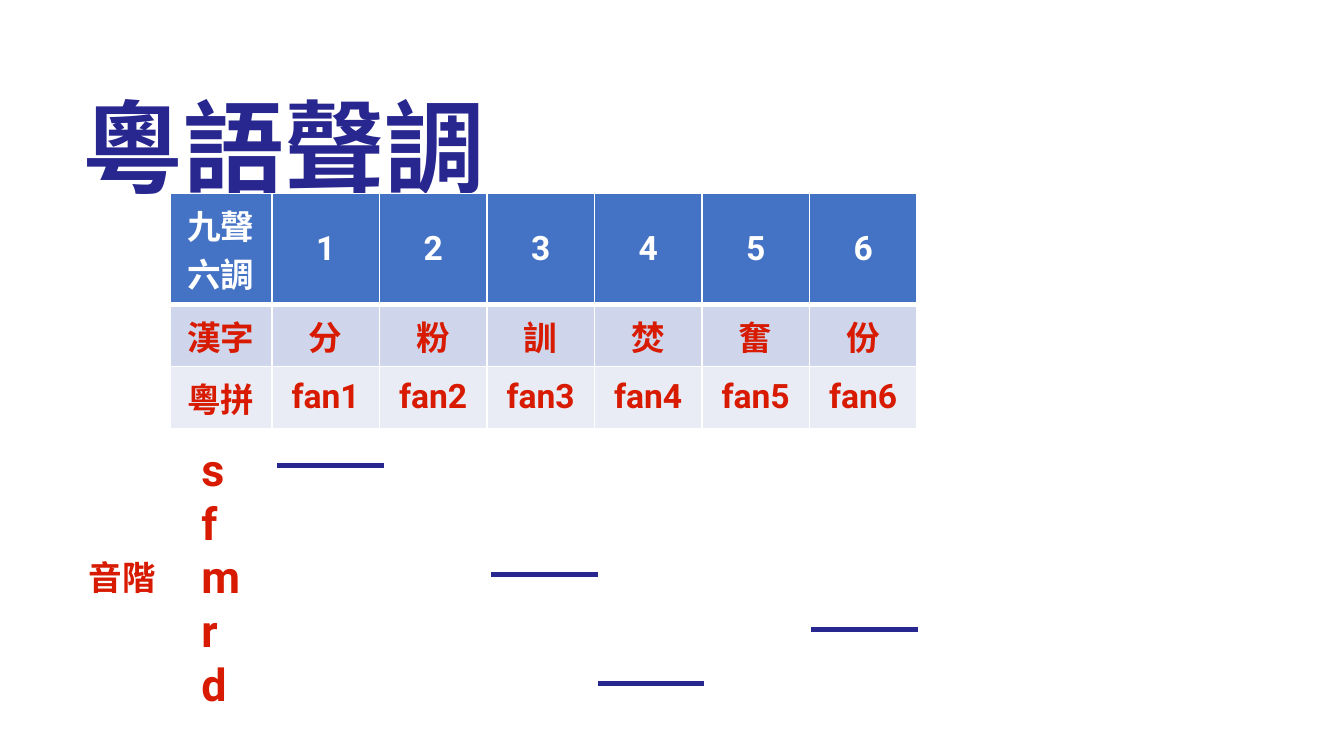
import pptx
import pptx.util
import pptx.dml.color
import pptx.enum.text
import pptx.oxml
import pptx.oxml.ns

Pt = pptx.util.Pt
RGB = pptx.dml.color.RGBColor
Align = pptx.enum.text.PP_ALIGN
Anchor = pptx.enum.text.MSO_ANCHOR
Fit = pptx.enum.text.MSO_AUTO_SIZE

NAVY = RGB(0x28, 0x27, 0x8F)
RED = RGB(0xD7, 0x1A, 0x00)
WHITE = RGB(0xFF, 0xFF, 0xFF)
BLUE = RGB(0x44, 0x72, 0xC4)
LILAC = RGB(0xCF, 0xD5, 0xEA)
PALE = RGB(0xE9, 0xEB, 0xF5)
NS = "http://schemas.openxmlformats.org/drawingml/2006/main"
PLAIN = "{2D5ABB26-0587-4C30-8999-92F81FD0307C}"

TONES = [
    ["九聲六調", "1", "2", "3", "4", "5", "6"],
    ["漢字", "分", "粉", "訓", "焚", "奮", "份"],
    ["粵拼"] + [f"fan{n}" for n in range(1, 7)],
]
STYLES = [(BLUE, WHITE), (LILAC, RED), (PALE, RED)]
LEVELS = [(0, 0), (2, 2), (4, 3), (3, 5)]
MERGES = [((1, 1), (2, 1)), ((3, 4), (4, 4))]


def style(frame, size, color):
    for para in frame.paragraphs:
        for run in para.runs:
            font = run.font
            font.name = "Roboto"
            font.size = Pt(size)
            font.bold = True
            font.color.rgb = color


def edge(cell, side, color=None, width=1):
    paint = "<a:noFill/>"
    if color is not None:
        paint = f'<a:solidFill><a:srgbClr val="{color}"/></a:solidFill>'
    cell._tc.get_or_add_tcPr().append(pptx.oxml.parse_xml(
        f'<a:ln{side} xmlns:a="{NS}" w="{Pt(width)}">{paint}</a:ln{side}>'))


def add_title(slide, text):
    title = slide.shapes.title
    title.left, title.top = Pt(37), Pt(9.4)
    title.width, title.height = Pt(612), Pt(85.7)
    frame = title.text_frame
    frame.text = text
    frame.auto_size = Fit.NONE
    frame.vertical_anchor = Anchor.TOP
    para = frame.paragraphs[0]
    para.alignment = Align.LEFT
    para.line_spacing = 1.5
    style(frame, 54, NAVY)


def add_grid(slide, left, top, widths, rows, high):
    table = slide.shapes.add_table(
        rows, len(widths), Pt(left), Pt(top),
        Pt(sum(widths)), Pt(rows * high)).table
    table._tbl.tblPr.find(pptx.oxml.ns.qn("a:tableStyleId")).text = PLAIN
    table.first_row = table.horz_banding = False
    for col, width in zip(table.columns, widths):
        col.width = Pt(width)
    for row in table.rows:
        row.height = Pt(high)
    return table


def add_tones(slide):
    table = add_grid(slide, 91, 103.7, [54.7] + [57.6] * 6, 3, 29.2)
    for row, (words, (fill, ink)) in enumerate(zip(TONES, STYLES)):
        for col, word in enumerate(words):
            cell = table.cell(row, col)
            for side in "LRTB":
                thick = (row, side) in [(0, "B"), (1, "T")]
                edge(cell, side, WHITE, 3 if thick else 1)
            cell.fill.solid()
            cell.fill.fore_color.rgb = fill
            cell.vertical_anchor = Anchor.MIDDLE
            cell.text_frame.text = word
            cell.text_frame.paragraphs[0].alignment = Align.CENTER
            style(cell.text_frame, 18, ink)


def add_chart(slide):
    table = add_grid(slide, 148.6, 220.3, [57.2] * 6, 6, 29.2)
    lines = {(row, col, "B") for row, col in LEVELS}
    lines |= {(row + 1, col, "T") for row, col in LEVELS}
    for row in range(6):
        for col in range(6):
            cell = table.cell(row, col)
            for side in "LRTB":
                if (row, col, side) in lines:
                    edge(cell, side, NAVY, 3)
                else:
                    edge(cell, side)
            cell.fill.background()
            cell.margin_top = cell.margin_bottom = 0
    for first, last in MERGES:
        table.cell(*first).merge(table.cell(*last))


def add_label(slide, text, left, top, width, height, size):
    box = slide.shapes.add_textbox(Pt(left), Pt(top), Pt(width), Pt(height))
    frame = box.text_frame
    frame.text = text
    frame.word_wrap = False
    frame.auto_size = Fit.SHAPE_TO_FIT_TEXT
    style(frame, size, RED)


def main():
    deck = pptx.Presentation()
    deck.slide_width, deck.slide_height = Pt(720), Pt(405)
    slide = deck.slides.add_slide(deck.slide_layouts[5])
    add_title(slide, "粵語聲調")
    add_tones(slide)
    add_chart(slide)
    add_label(slide, "\n".join("sfmrd"), 100.8, 233, 35.3, 152.6, 24)
    add_label(slide, "音階", 40.3, 294.8, 51.1, 28.8, 18)
    deck.save("out.pptx")


if __name__ == "__main__":
    main()
